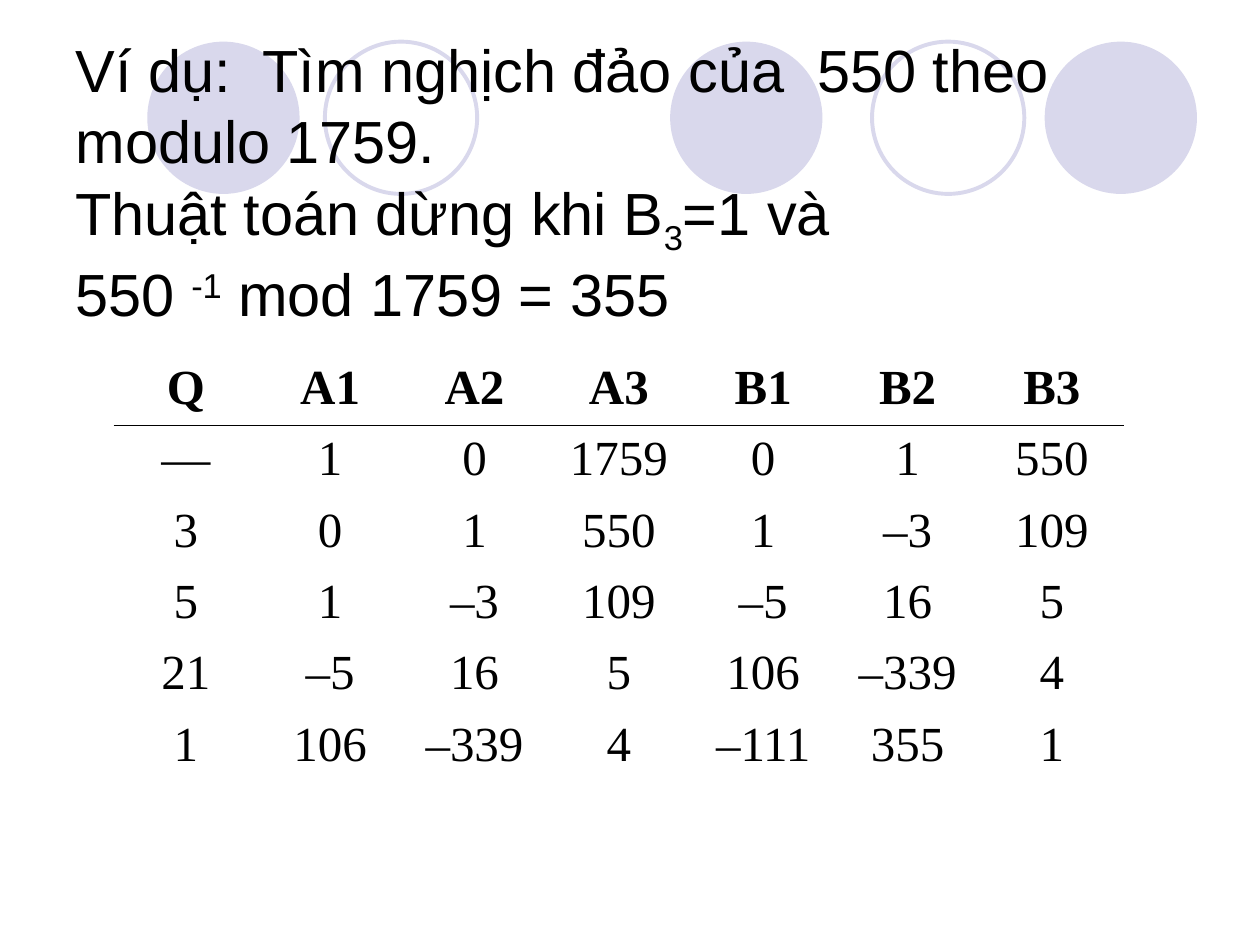
import pptx
import pptx.dml.color
import pptx.enum.shapes
import pptx.enum.text
import pptx.oxml
import pptx.oxml.ns
import pptx.util
from pptx.util import Cm

BLACK = pptx.dml.color.RGBColor(0x00, 0x00, 0x00)
LAVENDER = pptx.dml.color.RGBColor(0xD9, 0xD8, 0xEC)
NO_GRID_STYLE = "{2D5ABB26-0587-4C30-8999-92F81FD0307C}"

CIRCLE_SIZE = Cm(3.07)
CIRCLE_TOP = Cm(0.84)
CIRCLES = [  # left edge in cm, filled
    (13.51, True), (21.06, True), (2.97, True), (17.58, False), (6.55, False),
]

TITLE = [  # text, baseline shift in thousandths of a percent
    ("Ví dụ:  Tìm nghịch đảo của  550 theo modulo 1759.\nThuật toán dừng khi B", 0),
    ("3", -25000),
    ("=1 và \n550 ", 0),
    ("-1", 30000),
    (" mod 1759 = 355", 0),
]

EUCLID_STEPS = [
    ["Q", "A1", "A2", "A3", "B1", "B2", "B3"],
    ["—", "1", "0", "1759", "0", "1", "550"],
    ["3", "0", "1", "550", "1", "–3", "109"],
    ["5", "1", "–3", "109", "–5", "16", "5"],
    ["21", "–5", "16", "5", "106", "–339", "4"],
    ["1", "106", "–339", "4", "–111", "355", "1"],
]


class SlideBuilder:
    TITLE_FONT = {"name": "Arial", "size": pptx.util.Pt(34), "bold": False}
    CELL_FONT = {"name": "Times New Roman", "size": pptx.util.Pt(28)}
    CELL_PARAGRAPH = {
        "alignment": pptx.enum.text.PP_ALIGN.CENTER,
        "space_before": pptx.util.Pt(0),
        "space_after": pptx.util.Pt(3),
    }

    def __init__(self, slide):
        self.slide = slide

    def apply(self, target, values):
        for name, value in values.items():
            setattr(target, name, value)

    def format_font(self, font, values):
        self.apply(font, values)
        font.color.rgb = BLACK

    def circle(self, left, filled):
        circle = self.slide.shapes.add_shape(
            pptx.enum.shapes.MSO_SHAPE.OVAL, left, CIRCLE_TOP, CIRCLE_SIZE, CIRCLE_SIZE)
        circle.shadow.inherit = False
        if filled:
            circle.fill.solid()
            circle.fill.fore_color.rgb = LAVENDER
            circle.line.fill.background()
        else:
            circle.fill.background()
            circle.line.color.rgb = LAVENDER
            circle.line.width = pptx.util.Pt(2.25)

    def title(self, parts):
        """Fill the title placeholder and bring it in front of the circles."""
        title = self.slide.shapes.title
        self.apply(title, {"left": Cm(1.27), "top": Cm(0.76),
                           "width": Cm(23.24), "height": Cm(5.77)})
        self.apply(title.text_frame, {
            "word_wrap": True,
            "auto_size": pptx.enum.text.MSO_AUTO_SIZE.NONE,
            "vertical_anchor": pptx.enum.text.MSO_ANCHOR.MIDDLE,
        })
        paragraph = title.text_frame.paragraphs[0]
        paragraph.alignment = pptx.enum.text.PP_ALIGN.LEFT
        for text, baseline in parts:
            for index, line in enumerate(text.split("\n")):
                if index:
                    paragraph.add_line_break()
                run = paragraph.add_run()
                run.text = line
                self.format_font(run.font, self.TITLE_FONT)
                if baseline:
                    run.font._element.set("baseline", str(baseline))
        title._element.getparent().append(title._element)

    def table(self, rows, left, top, column_width, row_heights):
        frame = self.slide.shapes.add_table(
            len(rows), len(rows[0]), left, top,
            column_width * len(rows[0]), sum(row_heights))
        table = frame.table
        self.apply(table, {"first_row": False, "horz_banding": False})
        table._tbl.tblPr.find(pptx.oxml.ns.qn("a:tableStyleId")).text = NO_GRID_STYLE
        for column in table.columns:
            column.width = column_width
        for row_index, (row, height) in enumerate(zip(rows, row_heights)):
            table.rows[row_index].height = height
            for column_index, text in enumerate(row):
                cell = table.cell(row_index, column_index)
                self.cell(cell, text, header=row_index == 0)

    def cell(self, cell, text, header):
        cell.fill.background()
        paragraph = cell.text_frame.paragraphs[0]
        self.apply(paragraph, self.CELL_PARAGRAPH)
        run = paragraph.add_run()
        run.text = text
        self.format_font(run.font, {**self.CELL_FONT, "bold": header})
        if header:
            self.bottom_rule(cell)

    def bottom_rule(self, cell):
        rule = pptx.oxml.parse_xml(
            f'<a:lnB {pptx.oxml.ns.nsdecls("a")} w="{pptx.util.Pt(0.45)}">'
            f'<a:solidFill><a:srgbClr val="{BLACK}"/></a:solidFill></a:lnB>')
        cell._tc.get_or_add_tcPr().insert(0, rule)


def main():
    presentation = pptx.Presentation()
    presentation.slide_width = Cm(25.4)
    presentation.slide_height = Cm(19.05)
    title_only = presentation.slide_layouts[5]
    builder = SlideBuilder(presentation.slides.add_slide(title_only))

    for left, filled in CIRCLES:
        builder.circle(Cm(left), filled)
    builder.title(TITLE)
    builder.table(EUCLID_STEPS, Cm(2.29), Cm(7.14), Cm(2.91),
                  [Cm(1.44)] * 5 + [Cm(4.24)])
    presentation.save("out.pptx")


if __name__ == "__main__":
    main()
